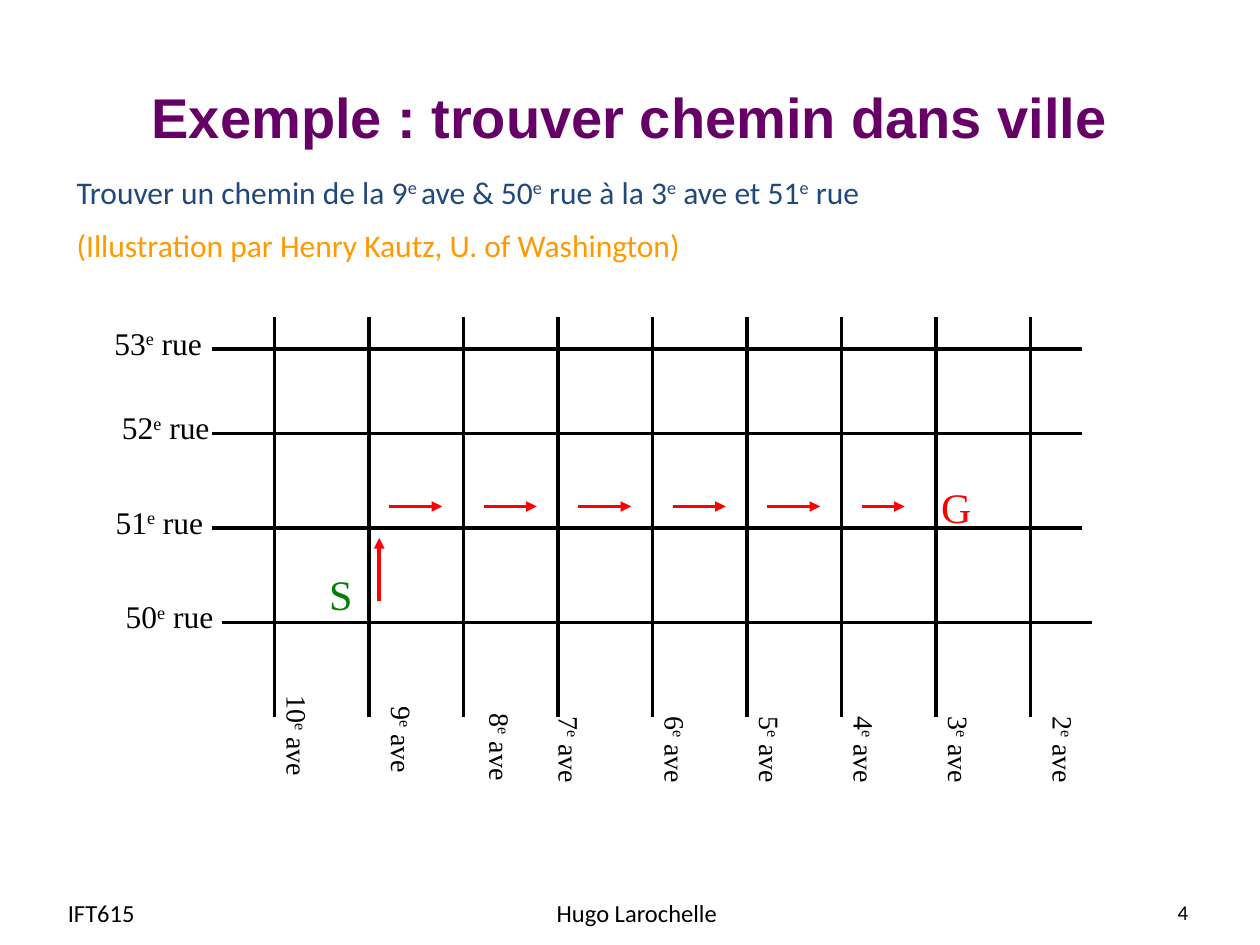
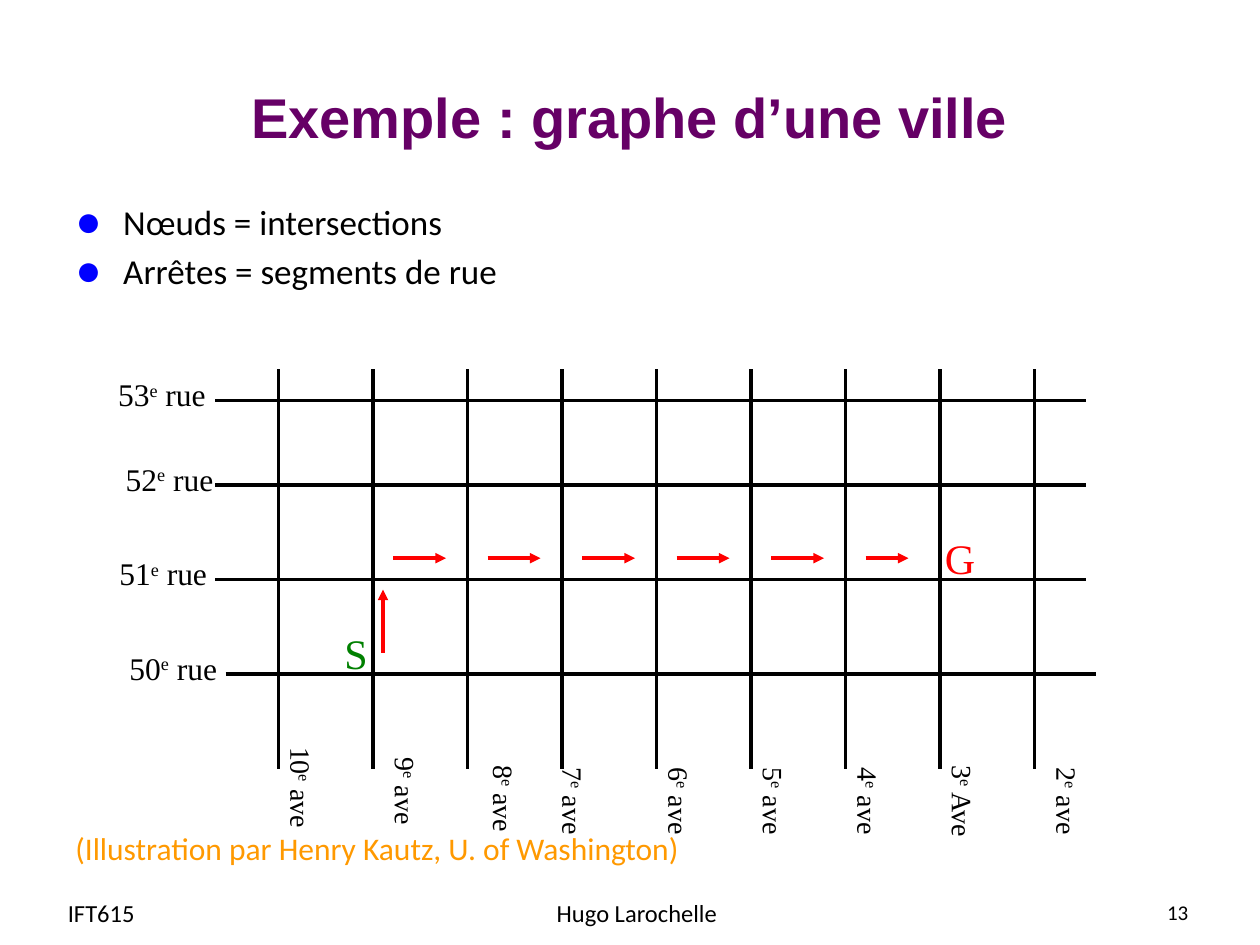
"""Build two slides that show a path through a city street grid."""
from lxml import etree
from pptx import Presentation
from pptx.dml.color import RGBColor
from pptx.enum.shapes import MSO_CONNECTOR
from pptx.enum.text import MSO_ANCHOR, MSO_AUTO_SIZE, PP_ALIGN
from pptx.oxml.ns import qn
from pptx.util import Inches, Pt

STRAIGHT = MSO_CONNECTOR.STRAIGHT
TOP, MIDDLE = MSO_ANCHOR.TOP, MSO_ANCHOR.MIDDLE
LEFT, CENTER, RIGHT = PP_ALIGN.LEFT, PP_ALIGN.CENTER, PP_ALIGN.RIGHT
NO_AUTOFIT = MSO_AUTO_SIZE.NONE

COLORS = {
    "title": "660066",
    "text": "000000",
    "question": "1F497D",
    "credit": "FF9900",
    "bullet": "0000FF",
    "start": "008000",
    "goal": "FF0000",
    "path": "FF0000",
}
TITLE_FONT, BODY_FONT, MAP_FONT = "Arial", "Calibri", "Times New Roman"
CREDIT = "(Illustration par Henry Kautz, U. of Washington)"

BLOCK = 0.75
AVENUE_LENGTH = 3.17
STREET_LENGTH = 6.91
STREETS = [
    ("53^e^ rue", 0.25, -0.5, -1.38),
    ("52^e^ rue", 0.92, -0.5, -1.32),
    ("51^e^ rue", 1.67, -0.5, -1.37),
    ("50^e^ rue", 2.42, -0.42, -1.29),
]
AVENUE_LABEL_WIDTH, AVENUE_LABEL_HEIGHT = 0.9, 0.37
AVENUE_LABEL_CENTERS = [
    (0.18, 3.32), (0.26, 3.35), (0.29, 3.41), (0.09, 3.43), (0.18, 3.43),
    (0.18, 3.43), (0.18, 3.43), (0.18, 3.43), (0.26, 3.43),
]


def style_font(font, name, size, color, bold=False):
    """Set the face, size, colour and weight of a font."""
    font.name = name
    font.size = Pt(size)
    font.bold = bold
    font.color.rgb = RGBColor.from_string(COLORS[color])


def fill_paragraph(paragraph, text, name, size, color, align=LEFT):
    """Write text in a paragraph, raising the parts between carets."""
    paragraph.alignment = align
    for index, part in enumerate(text.split("^")):
        if part:
            run = paragraph.add_run()
            run.text = part
            style_font(run.font, name, size, color)
            if index % 2:
                run._r.get_or_add_rPr().set("baseline", "30000")


def add_text(shapes, box, lines, size, name=BODY_FONT, align=LEFT,
             anchor=TOP, wrap=True, gap=0):
    """Add a text box with one paragraph per (text, colour) line."""
    shape = shapes.add_textbox(*map(Inches, box))
    frame = shape.text_frame
    frame.word_wrap = wrap
    frame.vertical_anchor = anchor
    for index, (text, color) in enumerate(lines):
        paragraph = frame.add_paragraph() if index else frame.paragraphs[0]
        if index:
            paragraph.space_before = Pt(gap)
        fill_paragraph(paragraph, text, name, size, color, align)
    return shape


def add_line(shapes, start, end, color="text", arrow=False):
    """Add a straight line, with an arrowhead at its end if asked."""
    line = shapes.add_connector(STRAIGHT, *map(Inches, (*start, *end)))
    line.line.width = Pt(2)
    line.line.color.rgb = RGBColor.from_string(COLORS[color])
    if arrow:
        etree.SubElement(line.line._get_or_add_ln(), qn("a:tailEnd"), type="triangle")
    etree.SubElement(line._element.spPr, qn("a:effectLst"))


def add_bullet(paragraph):
    """Give a paragraph a hanging round bullet."""
    properties = paragraph._p.get_or_add_pPr()
    properties.set("marL", str(Inches(0.38)))
    properties.set("indent", str(-Inches(0.38)))
    color = etree.SubElement(properties, qn("a:buClr"))
    etree.SubElement(color, qn("a:srgbClr"), val=COLORS["bullet"])
    etree.SubElement(properties, qn("a:buSzPct"), val="125000")
    etree.SubElement(properties, qn("a:buFont"), typeface=TITLE_FONT)
    etree.SubElement(properties, qn("a:buChar"), char="●")


def add_map_label(shapes, box, text, size, color="text"):
    """Add a centred label that belongs to the city map."""
    return add_text(shapes, box, [(text, color)], size, MAP_FONT, CENTER, wrap=False)


def add_city_map(slide, left, top, start_offset, third_avenue):
    """Draw the street grid, its labels and the path from S to G as a group."""
    shapes = slide.shapes.add_group_shape().shapes
    avenues = [f"{number}^e^ ave" for number in range(10, 1, -1)]
    avenues[7] = third_avenue

    for index, (text, (shift, drop)) in enumerate(zip(avenues, AVENUE_LABEL_CENTERS)):
        x = left + index * BLOCK
        add_line(shapes, (x, top), (x, top + AVENUE_LENGTH))
        box = (x + shift - AVENUE_LABEL_WIDTH / 2, top + drop - AVENUE_LABEL_HEIGHT / 2,
               AVENUE_LABEL_WIDTH, AVENUE_LABEL_HEIGHT)
        add_map_label(shapes, box, text, 16).rotation = 90

    for text, drop, indent, label_shift in STREETS:
        x, y = left + indent, top + drop
        add_line(shapes, (x, y), (x + STREET_LENGTH, y))
        add_map_label(shapes, (left + label_shift, y - 0.25, 0.91, 0.4), text, 18)

    start_x, start_y = start_offset
    add_map_label(shapes, (left + start_x, top + start_y, 0.39, 0.5), "S", 24, "start")
    add_map_label(shapes, (left + 5.16, top + 1.25, 0.5, 0.5), "G", 24, "goal")

    add_line(shapes, (left + 0.83, top + 2.25), (left + 0.83, top + 1.75), "path", True)
    for block in range(1, 7):
        x, y = left + block * BLOCK + 0.16, top + 1.5
        length = 0.34 if block == 6 else 0.42
        add_line(shapes, (x, y), (x + length, y), "path", True)


def add_titled_slide(presentation, title):
    """Add a title-only slide with its formatted title."""
    slide = presentation.slides.add_slide(presentation.slide_layouts[5])
    shape = slide.shapes.title
    shape.left, shape.top, shape.width, shape.height = map(Inches, (0.5, 0.3, 9, 1.25))
    frame = shape.text_frame
    frame.text = title
    frame.auto_size = NO_AUTOFIT
    frame.vertical_anchor = MIDDLE
    frame.paragraphs[0].alignment = CENTER
    style_font(frame.paragraphs[0].runs[0].font, TITLE_FONT, 32, "title", bold=True)
    return slide


def add_footer(slide, number):
    """Add the course code, the page number and the author."""
    for left, width, text, size, align in (
        (0.44, 1.93, "IFT615", 14, LEFT),
        (7.2, 2.33, number, 12, RIGHT),
        (3.47, 3.17, "Hugo Larochelle", 14, CENTER),
    ):
        add_text(slide.shapes, (left, 7.04, width, 0.4), [(text, "text")], size,
                 align=align, anchor=MIDDLE)


def build_path_slide(presentation):
    """Build the slide that states the path problem."""
    slide = add_titled_slide(presentation, "Exemple : trouver chemin dans ville")
    add_city_map(slide, 2.18, 2.52, (0.33, 1.94), "3^e^ ave")
    question = "Trouver un chemin de la 9^e ^ave & 50^e^ rue à la 3^e^ ave et 51^e^ rue"
    add_text(slide.shapes, (0.51, 1.32, 9.33, 0.85),
             [(question, "question"), (CREDIT, "credit")], 18, gap=9)
    add_footer(slide, "4")


def build_graph_slide(presentation):
    """Build the slide that reads the city as a graph."""
    slide = add_titled_slide(presentation, "Exemple : graphe d’une ville")
    definitions = add_text(
        slide.shapes, (0.5, 1.54, 9, 0.9),
        [("Nœuds = intersections", "text"), ("Arrêtes = segments de rue", "text")],
        20, gap=4)
    for paragraph in definitions.text_frame.paragraphs:
        add_bullet(paragraph)
    add_city_map(slide, 2.21, 2.93, (0.42, 2), "3^e^ Ave")
    add_text(slide.shapes, (0.5, 6.53, 9.33, 0.4), [(CREDIT, "credit")], 18)
    add_footer(slide, "13")


def main():
    """Create the presentation and save it."""
    presentation = Presentation()
    presentation.slide_width, presentation.slide_height = Inches(10), Inches(7.5)
    build_path_slide(presentation)
    build_graph_slide(presentation)
    presentation.save("out.pptx")


if __name__ == "__main__":
    main()
